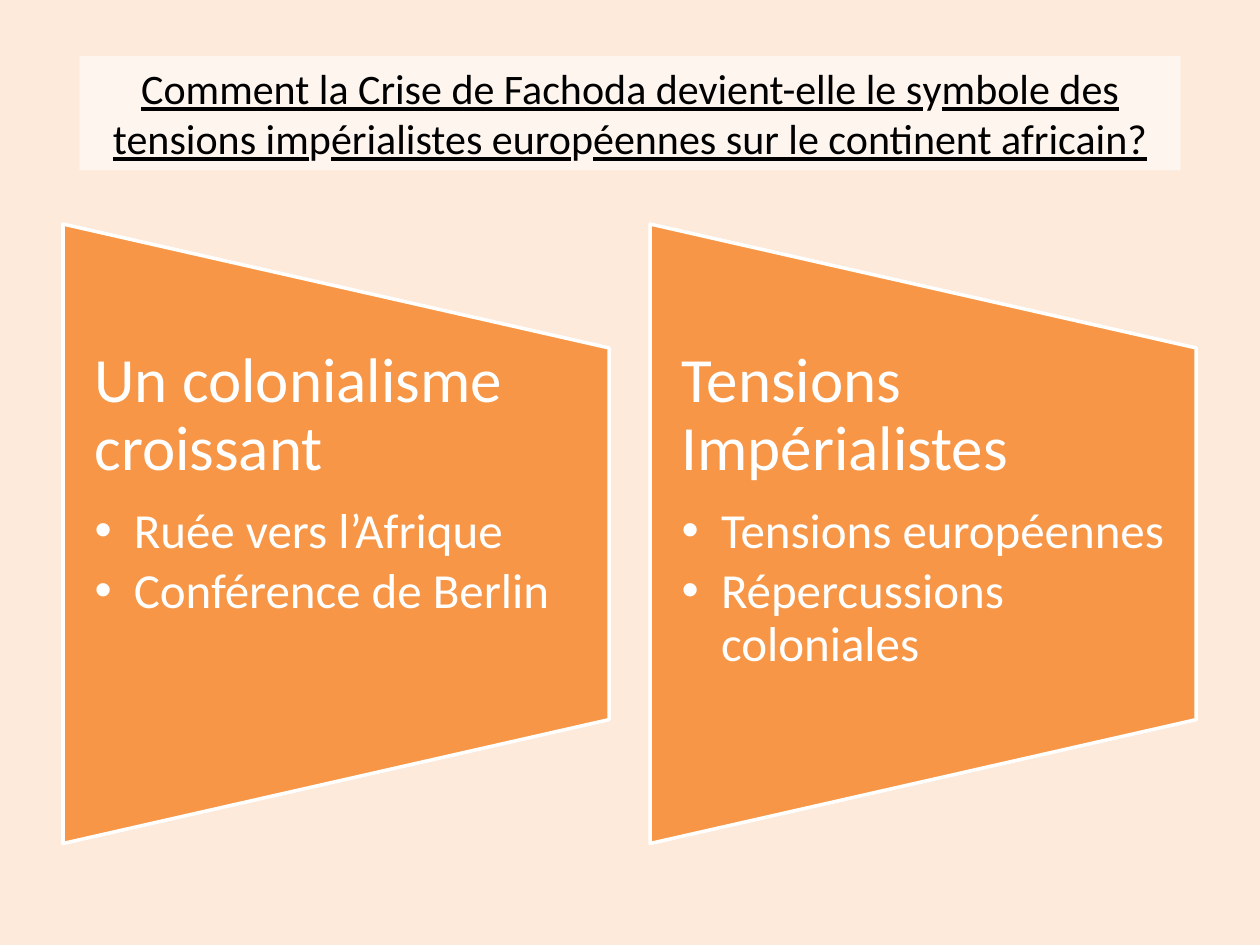
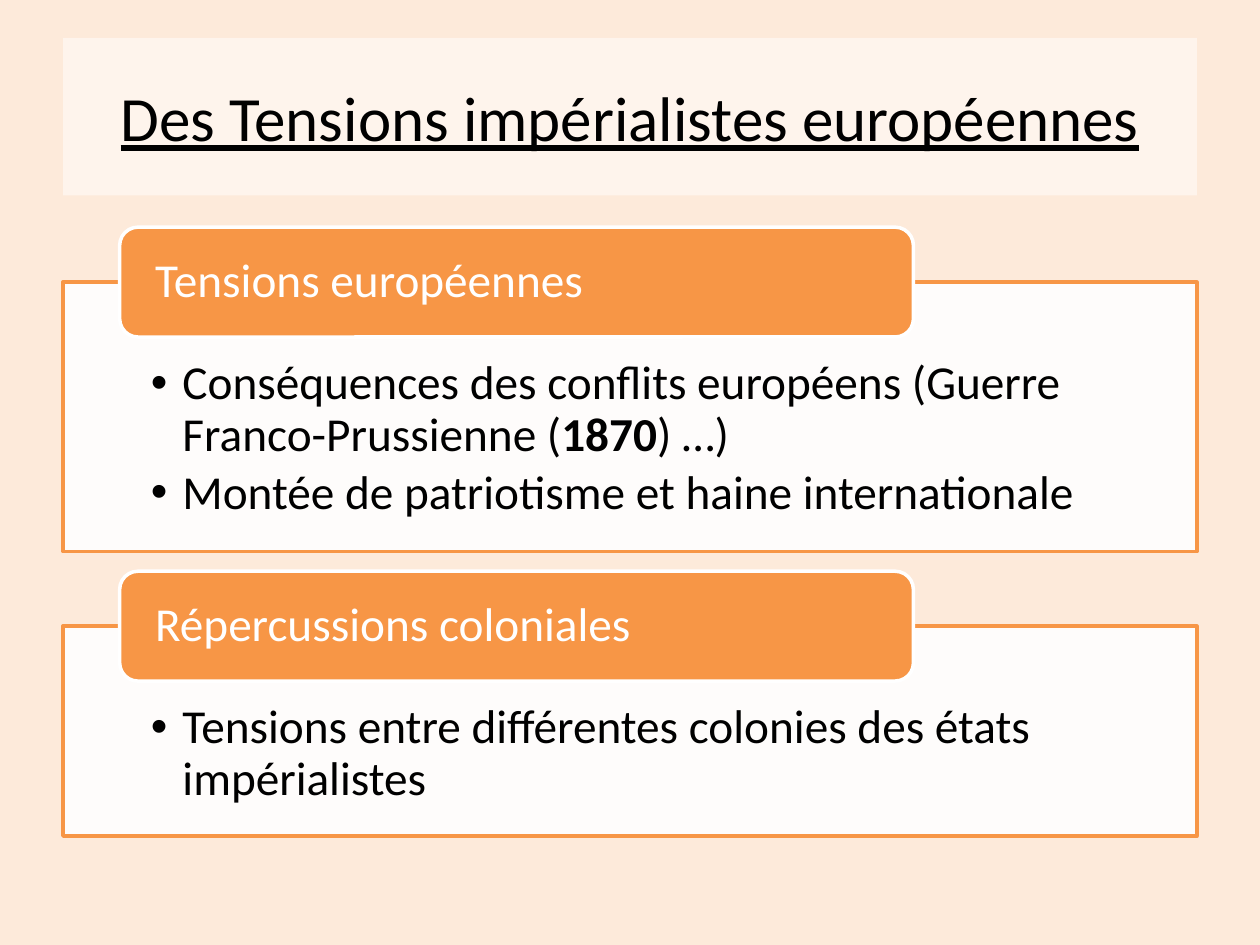
"""Build two slides on the Fachoda crisis and European imperial tensions."""
from dataclasses import dataclass

from lxml import etree
from pptx import Presentation
from pptx.dml.color import RGBColor
from pptx.enum.shapes import MSO_SHAPE
from pptx.enum.text import MSO_ANCHOR, MSO_AUTO_SIZE, PP_ALIGN
from pptx.oxml.ns import qn
from pptx.util import Pt

RECT = MSO_SHAPE.RECTANGLE
ROUND_RECT = MSO_SHAPE.ROUNDED_RECTANGLE
TRAPEZOID = MSO_SHAPE.FLOWCHART_MANUAL_OPERATION
TOP, MIDDLE = MSO_ANCHOR.TOP, MSO_ANCHOR.MIDDLE
LEFT, CENTER = PP_ALIGN.LEFT, PP_ALIGN.CENTER
NO_AUTOFIT = MSO_AUTO_SIZE.NONE
TITLE_ONLY = 5


@dataclass(frozen=True)
class Theme:
    """Colours, type sizes in points and spacing ratios."""

    font: str = "Calibri"
    background: RGBColor = RGBColor(0xFD, 0xEA, 0xDA)
    accent: RGBColor = RGBColor(0xF7, 0x96, 0x46)
    white: RGBColor = RGBColor(0xFF, 0xFF, 0xFF)
    black: RGBColor = RGBColor(0, 0, 0)
    question_size: float = 24
    heading_size: float = 36
    item_size: float = 28
    section_size: float = 27
    line_width: float = 2
    line_spacing: float = 0.9
    heading_gap: float = 0.35
    item_gap: float = 0.15


@dataclass(frozen=True)
class Box:
    """Position and size in points."""

    x: float
    y: float
    w: float
    h: float


@dataclass(frozen=True)
class Run:
    """A stretch of text with its emphasis."""

    text: str
    bold: bool = False
    underline: bool = False


@dataclass(frozen=True)
class Panel:
    """A trapezoid with a heading and bullets."""

    heading: str
    items: tuple[str, ...]


@dataclass(frozen=True)
class Section:
    """A label over a framed list of bullets."""

    label: str
    height: float
    items: tuple[tuple[Run, ...], ...]


THEME = Theme()
QUESTION = (
    "Comment la Crise de Fachoda devient-elle le s", "y", "mbole des tensions im", "p",
    "érialistes euro", "p", "éennes sur le continent africain?",
)
PANELS = (
    Panel("Un colonialisme croissant", ("Ruée vers l’Afrique", "Conférence de Berlin")),
    Panel("Tensions Impérialistes", ("Tensions européennes", "Répercussions coloniales")),
)
SECTIONS = (
    Section("Tensions européennes", 154, (
        (Run("Conséquences des conflits européens (Guerre Franco-Prussienne ("),
         Run("1870", bold=True), Run(") …)")),
        (Run("Montée de patriotisme et haine internationale"),),
    )),
    Section("Répercussions coloniales", 120, (
        (Run("Tensions entre différentes colonies des états impérialistes"),),
    )),
)


def set_fill(sp, color: RGBColor, opacity: int = 100) -> None:
    """Fill a shape with a colour at an opacity in percent."""
    sp.fill.solid()
    sp.fill.fore_color.rgb = color
    if opacity < 100:
        clr = sp.fill._xPr.find(qn("a:solidFill"))[0]
        etree.SubElement(clr, qn("a:alpha")).set("val", str(opacity * 1000))


def add_box(s, kind, box: Box, fill: RGBColor, line: RGBColor, opacity: int = 100):
    """Add a filled and outlined preset shape."""
    sp = s.shapes.add_shape(kind, Pt(box.x), Pt(box.y), Pt(box.w), Pt(box.h))
    sp.shadow.inherit = False
    set_fill(sp, fill, opacity)
    sp.line.color.rgb = line
    sp.line.width = Pt(THEME.line_width)
    return sp


def set_frame(tf, side: float, top: float = 0, bottom: float = 0, anchor=TOP) -> None:
    """Set insets in points, wrapping and anchor."""
    tf.word_wrap = True
    tf.auto_size = NO_AUTOFIT
    tf.vertical_anchor = anchor
    tf.margin_left = tf.margin_right = Pt(side)
    tf.margin_top, tf.margin_bottom = Pt(top), Pt(bottom)


def add_runs(p, runs: tuple[Run, ...], size: float, color: RGBColor) -> None:
    """Append formatted runs to a paragraph."""
    for run in runs:
        r = p.add_run()
        r.text = run.text
        r.font.name, r.font.size = THEME.font, Pt(size)
        r.font.bold, r.font.underline = run.bold, run.underline
        r.font.color.rgb = color


def add_line(tf, runs: tuple[Run, ...], size: float, color: RGBColor,
             gap: float, indent: float = 0) -> None:
    """Add a left-aligned paragraph, bulleted when indented."""
    first = tf.paragraphs[0]
    p = tf.add_paragraph() if first.runs else first
    p.alignment = LEFT
    p.line_spacing = THEME.line_spacing
    p.space_after = Pt(gap * size)
    if indent:
        p.level = 1
        ppr = p._p.get_or_add_pPr()
        ppr.set("marL", str(Pt(indent)))
        ppr.set("indent", str(-Pt(indent)))
        etree.SubElement(ppr, qn("a:buFont")).set("typeface", "Arial")
        etree.SubElement(ppr, qn("a:buChar")).set("char", "•")
    add_runs(p, runs, size, color)


def add_title(s, box: Box, runs: tuple[Run, ...], size: float, opacity: int, anchor) -> None:
    """Place the title on its translucent white band."""
    sp = s.shapes.title
    sp.left, sp.top, sp.width, sp.height = Pt(box.x), Pt(box.y), Pt(box.w), Pt(box.h)
    set_fill(sp, THEME.white, opacity)
    set_frame(sp.text_frame, 7.2, 3.6, 3.6, anchor)
    p = sp.text_frame.paragraphs[0]
    p.alignment = CENTER
    add_runs(p, runs, size, THEME.black)


def add_panel(s, x: float, panel: Panel) -> None:
    """Draw a trapezoid turned on its side with its text."""
    sp = add_box(s, TRAPEZOID, Box(x - 21, 149, 354, 312), THEME.accent, THEME.white)
    sp.rotation = 270
    tf = s.shapes.add_textbox(Pt(x), Pt(198.8), Pt(312), Pt(212.4)).text_frame
    set_frame(tf, 18)
    add_line(tf, (Run(panel.heading),), THEME.heading_size, THEME.white, THEME.heading_gap)
    for item in panel.items:
        add_line(tf, (Run(item),), THEME.item_size, THEME.white, THEME.item_gap, 22.5)


def add_section(s, y: float, section: Section) -> None:
    """Draw a framed list with its label across the top edge."""
    sp = add_box(s, RECT, Box(36, y, 648, section.height), THEME.white, THEME.accent, 90)
    set_frame(sp.text_frame, 50.3, 44, 15)
    for runs in section.items:
        add_line(sp.text_frame, runs, THEME.section_size, THEME.black, THEME.item_gap, 18)
    sp = add_box(s, ROUND_RECT, Box(68.4, y - 31.4, 453.6, 62.8), THEME.accent, THEME.white)
    set_frame(sp.text_frame, 17.2, anchor=MIDDLE)
    add_line(sp.text_frame, (Run(section.label),), THEME.section_size, THEME.white,
             THEME.heading_gap)


def main() -> None:
    """Build and save the presentation."""
    prs = Presentation()
    prs.slide_width, prs.slide_height = Pt(720), Pt(540)
    bg = prs.slide_master.background.fill
    bg.solid()
    bg.fore_color.rgb = THEME.background
    layout = prs.slide_layouts[TITLE_ONLY]

    s = prs.slides.add_slide(layout)
    question = tuple(Run(text, underline=i % 2 == 0) for i, text in enumerate(QUESTION))
    add_title(s, Box(45.4, 32, 629.2, 65.4), question, THEME.question_size, 55, TOP)
    for i, panel in enumerate(PANELS):
        add_panel(s, 36 + i * 335.5, panel)

    s = prs.slides.add_slide(layout)
    heading = (Run("Des Tensions impérialistes européennes", underline=True),)
    add_title(s, Box(36, 21.6, 648, 90), heading, THEME.heading_size, 50, MIDDLE)
    y = 161.2
    for section in SECTIONS:
        add_section(s, y, section)
        y += section.height + 42.6

    prs.save("out.pptx")


if __name__ == "__main__":
    main()
